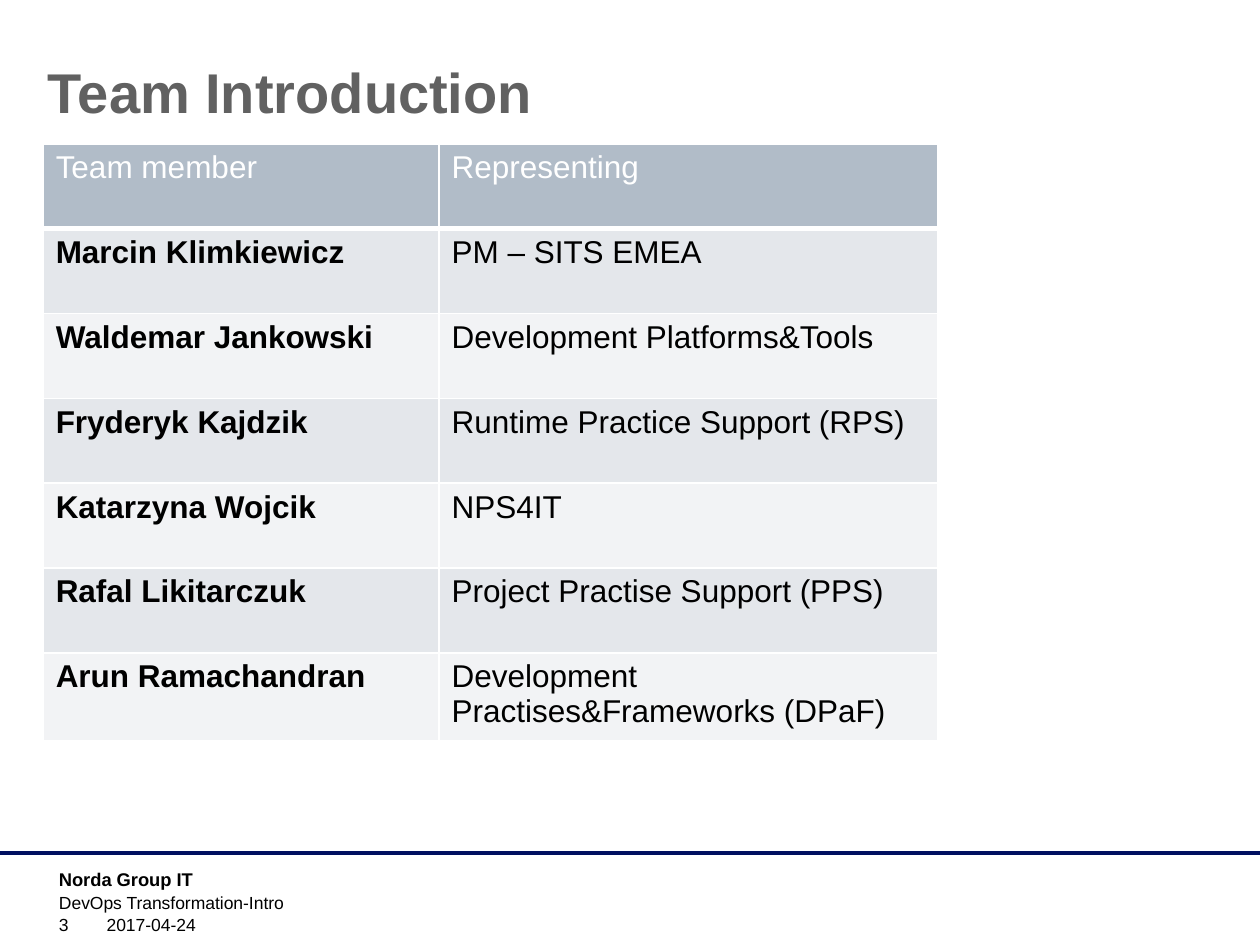
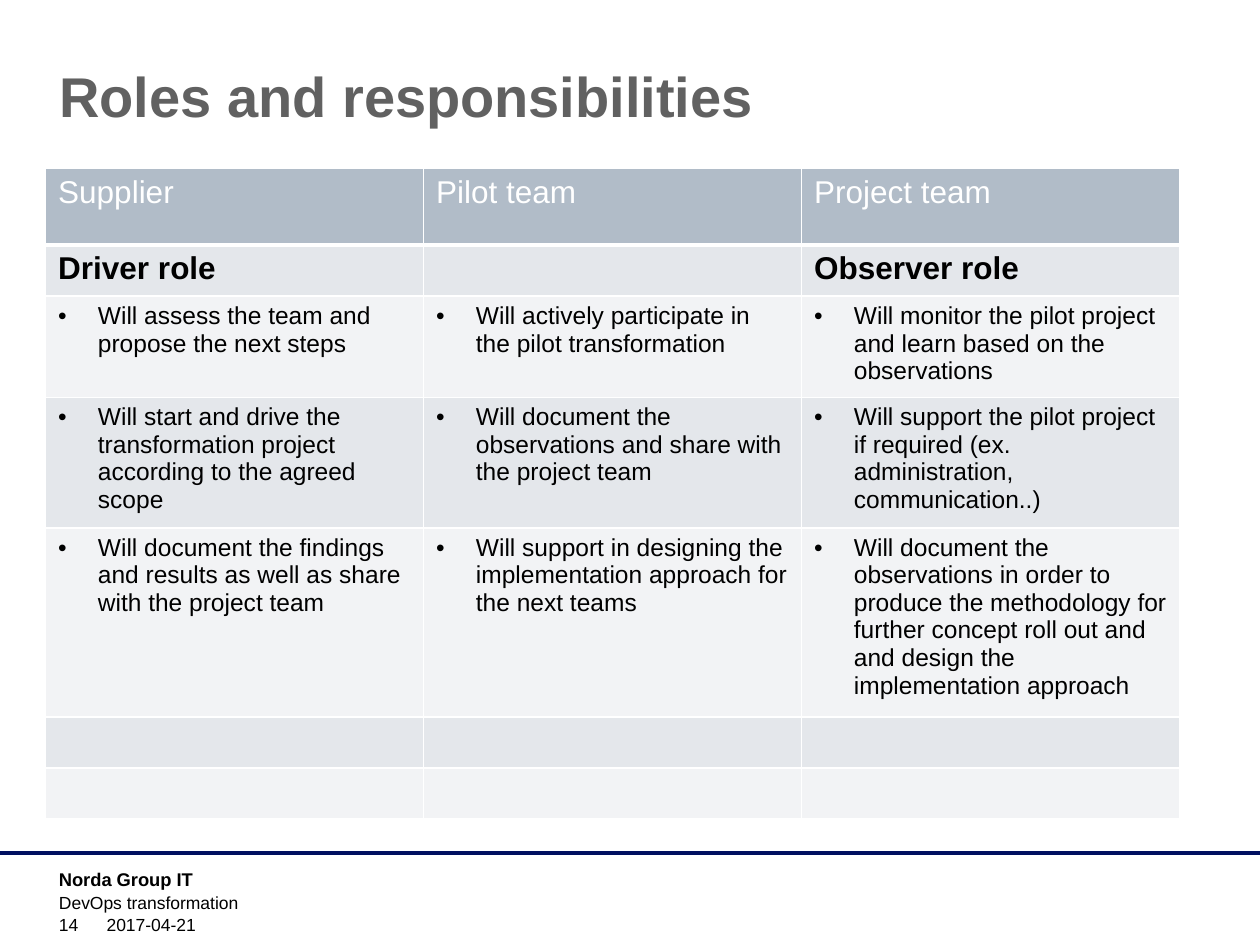
from dataclasses import dataclass

from lxml.etree import SubElement
from pptx import Presentation
from pptx.dml.color import RGBColor
from pptx.enum.shapes import MSO_CONNECTOR
from pptx.enum.text import MSO_ANCHOR, MSO_AUTO_SIZE, PP_ALIGN
from pptx.oxml import parse_xml
from pptx.oxml.ns import nsdecls, qn
from pptx.util import Cm, Pt


@dataclass(frozen=True)
class Theme:
    font: str = "Arial"
    title: str = "616161"
    text: str = "000000"
    white: str = "FFFFFF"
    rule: str = "000F60"
    header: str = "B1BCC8"
    bands: tuple = ("E4E7EB", "F2F3F5")
    title_size: float = 32
    cell_size: float = 18
    bullet_size: float = 14
    brand_size: float = 10.5
    footer_size: float = 10


THEME = Theme()
WIDTH, HEIGHT = 25.4, 19.05
RULE_TOP = 17.2
FOOTER_LEFT = 0.94
BULLET_INDENT = 0.8
COMPANY = "Norda Group IT"

# Places and sizes are in centimetres: left, top, width, height.
TEAM = {
    "title": "Team Introduction",
    "title_box": (0.71, 0.91, 13.97, 2.06),
    "footer": ("DevOps Transformation-Intro", "3", "2017-04-24"),
    "table_at": (0.87, 2.9),
    "columns": [7.98, 10.06],
    "heights": [1.71] * 7,
    "rows": [
        ("Team member", "Representing"),
        ("Marcin Klimkiewicz", "PM – SITS EMEA"),
        ("Waldemar Jankowski", "Development Platforms&Tools"),
        ("Fryderyk Kajdzik", "Runtime Practice Support (RPS)"),
        ("Katarzyna Wojcik", "NPS4IT"),
        ("Rafal Likitarczuk", "Project Practise Support (PPS)"),
        ("Arun Ramachandran", "Development Practises&Frameworks (DPaF)"),
    ],
}
ROLES = {
    "title": "Roles and responsibilities",
    "title_box": (0.94, 0.99, 22.86, 3.18),
    "footer": ("DevOps transformation", "14", "2017-04-21"),
    "table_at": (0.92, 3.39),
    "columns": [7.62] * 3,
    "heights": [1.55, 1.03, 2.04, 2.63, 3.81, 1.03, 1.03],
    "rows": [
        ("Supplier", "Pilot team", "Project team"),
        ("Driver role", "", "Observer role"),
        ("Will assess the team and propose the next steps",
         "Will actively participate in the pilot transformation",
         "Will monitor the pilot project and learn based on the observations"),
        ("Will start and drive the transformation project according to the agreed scope",
         "Will document the observations and share with the project team",
         "Will support the pilot project if required (ex. administration, communication..)"),
        ("Will document the findings and results as well as share with the project team",
         "Will support in designing the implementation approach for the next teams",
         "Will document the observations in order to produce the methodology for further "
         "concept roll out and and design the implementation approach"),
        ("", "", ""),
        ("", "", ""),
    ],
}


def color(value):
    return RGBColor.from_string(value)


def write(frame, text, size, text_color=THEME.text, bold=False):
    paragraph = frame.paragraphs[0]
    paragraph.alignment = PP_ALIGN.LEFT
    run = paragraph.add_run()
    run.text = text
    run.font.name = THEME.font
    run.font.size = Pt(size)
    run.font.bold = bold
    run.font.color.rgb = color(text_color)
    return paragraph


def add_title(slide, text, box):
    title = slide.shapes.title
    title.left, title.top, title.width, title.height = map(Cm, box)
    frame = title.text_frame
    frame.auto_size = MSO_AUTO_SIZE.NONE
    frame.vertical_anchor = MSO_ANCHOR.TOP
    frame.margin_top = Cm(0.25)
    write(frame, text, THEME.title_size, THEME.title, bold=True)


def add_footer(slide, subject, number, date):
    rule = slide.shapes.add_connector(
        MSO_CONNECTOR.STRAIGHT, 0, Cm(RULE_TOP), Cm(WIDTH), Cm(RULE_TOP))
    rule.line.color.rgb = color(THEME.rule)
    rule.line.width = Pt(2)
    SubElement(rule.element.spPr, qn("a:effectLst"))

    size, top, bottom = THEME.footer_size, MSO_ANCHOR.TOP, MSO_ANCHOR.BOTTOM
    for text, left, y, width, height, text_size, bold, anchor in (
        (COMPANY, FOOTER_LEFT, 17.37, 5.92, 0.61, THEME.brand_size, True, top),
        (subject, FOOTER_LEFT, 17.86, 19.1, 0.61, size, False, top),
        (number, FOOTER_LEFT, 18.39, 1.4, 0.58, size, False, bottom),
        (date, 1.9, 18.39, 6.68, 0.58, size, False, bottom),
    ):
        box = slide.shapes.add_textbox(Cm(left), Cm(y), Cm(width), Cm(height))
        box.text_frame.word_wrap = True
        box.text_frame.vertical_anchor = anchor
        write(box.text_frame, text, text_size, bold=bold)


def set_borders(cell, bottom_width):
    properties = cell._tc.get_or_add_tcPr()
    widths = {"lnL": 1, "lnR": 1, "lnT": 1, "lnB": bottom_width}
    for position, (side, width) in enumerate(widths.items()):
        properties.insert(position, parse_xml(
            f'<a:{side} {nsdecls("a")} w="{Pt(width)}"><a:solidFill>'
            f'<a:srgbClr val="{THEME.white}"/></a:solidFill></a:{side}>'))


def add_bullet(paragraph):
    properties = paragraph._p.get_or_add_pPr()
    properties.set("marL", str(Cm(BULLET_INDENT)))
    properties.set("indent", str(-Cm(BULLET_INDENT)))
    SubElement(properties, qn("a:buFont")).set("typeface", THEME.font)
    SubElement(properties, qn("a:buChar")).set("char", "•")


def team_style(row, column):
    """Return size, bold and bullet of a body cell: names are bold."""
    return THEME.cell_size, column == 0, False


def roles_style(row, column):
    """Return size, bold and bullet of a body cell: duties follow the role row."""
    return (THEME.cell_size, True, False) if row == 1 else (THEME.bullet_size, False, True)


def add_table(slide, content, body_style):
    rows, columns, heights = content["rows"], content["columns"], content["heights"]
    left, top = content["table_at"]
    table = slide.shapes.add_table(
        len(rows), len(columns), Cm(left), Cm(top),
        Cm(sum(columns)), Cm(sum(heights))).table
    for column, width in zip(table.columns, columns):
        column.width = Cm(width)
    for row, height in zip(table.rows, heights):
        row.height = Cm(height)
    for row_index, texts in enumerate(rows):
        is_header = row_index == 0
        fill = THEME.header if is_header else THEME.bands[(row_index - 1) % 2]
        for column_index, text in enumerate(texts):
            cell = table.cell(row_index, column_index)
            cell.fill.solid()
            cell.fill.fore_color.rgb = color(fill)
            set_borders(cell, 3 if is_header else 1)
            if not text:
                continue
            if is_header:
                write(cell.text_frame, text, THEME.cell_size, THEME.white)
                continue
            size, bold, bullet = body_style(row_index, column_index)
            paragraph = write(cell.text_frame, text, size, bold=bold)
            if bullet:
                add_bullet(paragraph)


def main():
    presentation = Presentation()
    presentation.slide_width, presentation.slide_height = Cm(WIDTH), Cm(HEIGHT)
    title_only = presentation.slide_layouts[5]
    for content, body_style in ((TEAM, team_style), (ROLES, roles_style)):
        slide = presentation.slides.add_slide(title_only)
        add_title(slide, content["title"], content["title_box"])
        add_footer(slide, *content["footer"])
        add_table(slide, content, body_style)
    presentation.save("out.pptx")


if __name__ == "__main__":
    main()
